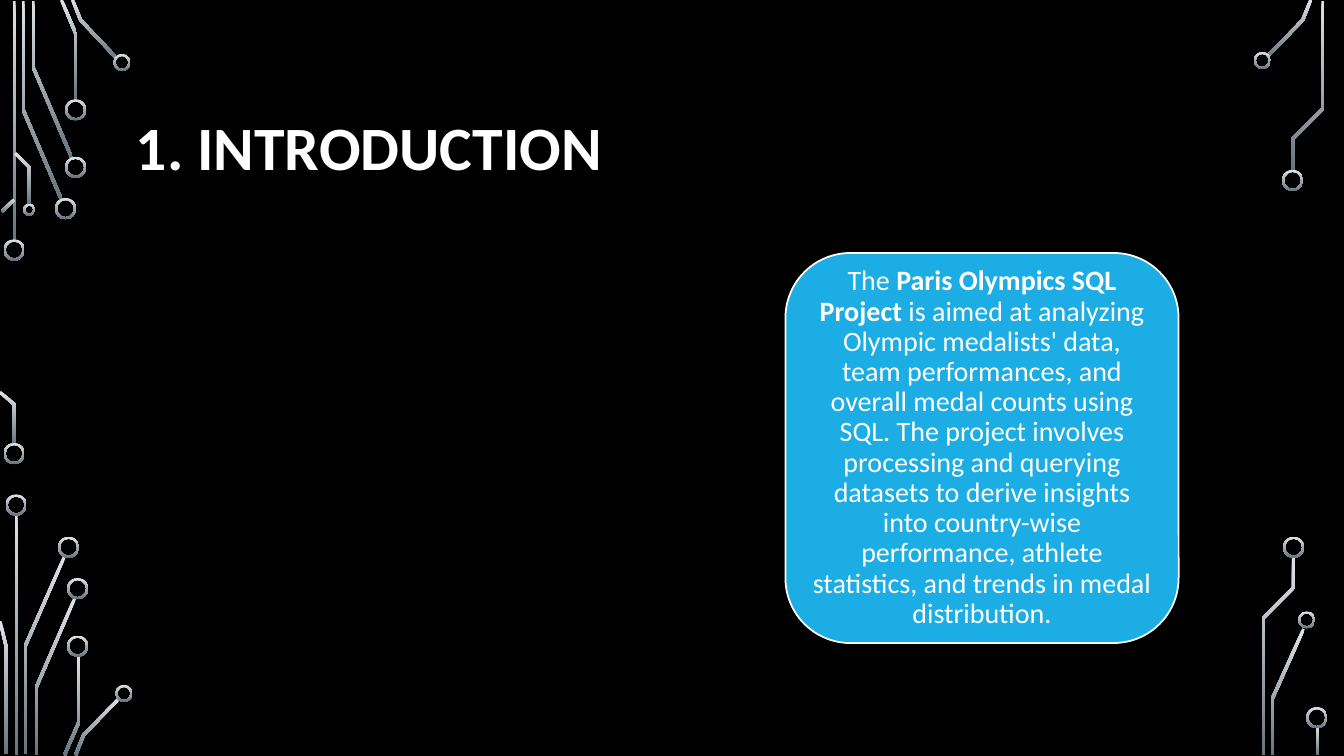
import math
from dataclasses import dataclass

import pptx
import pptx.util
import pptx.dml.color
import pptx.enum.shapes
import pptx.enum.text
from pptx.util import Inches


@dataclass(frozen=True)
class Theme:
    font: str = "Calibri"
    background: str = "000000"
    text: str = "FFFFFF"
    card: str = "1CADE4"
    trace_top: str = "DFE3E5"
    trace_bottom: str = "65757D"
    title_size: int = 44
    body_size: int = 20
    trace_width: float = 0.03
    ring_width: float = 0.02


THEME = Theme()

# Centre lines of the circuit traces, in inches
TRACES = [
    # Top left
    [(0.14, 0.01), (0.14, 2.4)],
    [(0.23, 0.01), (0.23, 1.09), (0.61, 1.98)],
    [(0.33, 0.01), (0.33, 0.67), (0.71, 1.56)],
    [(0.61, 0), (0.75, 0.33), (0.75, 1)],
    [(0.72, 0), (0.8, 0.2), (1.15, 0.57)],
    [(0.02, 2.1), (0.14, 1.98)],
    [(0.15, 1.52), (0.29, 1.66), (0.29, 2.03)],
    # Left middle
    [(0, 3.89), (0.14, 4.01), (0.14, 4.41)],
    # Bottom left
    [(0.16, 5.1), (0.16, 7.49)],
    [(0.64, 5.52), (0.25, 6.41), (0.25, 7.48)],
    [(0, 6.16), (0.06, 6.41), (0.06, 7.48)],
    [(0.74, 5.94), (0.36, 6.82), (0.36, 7.49)],
    [(0.78, 6.5), (0.78, 7.17), (0.64, 7.49)],
    [(1.18, 6.93), (0.83, 7.29), (0.75, 7.49)],
    # Top right
    [(13, 0), (12.92, 0.2), (12.57, 0.56)],
    [(13.12, 0.01), (13.12, 1.08), (12.82, 1.38), (12.82, 1.69)],
    # Bottom right
    [(12.93, 6.24), (12.62, 6.93), (12.62, 7.49)],
    [(12.83, 5.52), (12.83, 5.83), (12.53, 6.13), (12.53, 7.49)],
    [(13.07, 7.21), (13.07, 7.49)],
]

# Ring centres, grouped by diameter
RINGS = {
    0.21: [
        (0.14, 2.48), (0.14, 4.5), (0.65, 2.07), (0.75, 1.66), (0.75, 1.09),
        (0.16, 5.01), (0.68, 5.43), (0.77, 5.84), (0.77, 6.41),
        (12.82, 1.79), (12.83, 5.43), (13.06, 7.12),
    ],
    0.17: [(1.21, 0.62), (1.23, 6.88), (12.52, 0.6), (12.96, 6.15)],
    0.12: [(0.29, 2.08)],
}

INTRODUCTION = [
    ("The ", False),
    ("Paris Olympics SQL Project", True),
    (" is aimed at analyzing Olympic medalists' data, team performances, and "
     "overall medal counts using SQL. The project involves processing and "
     "querying datasets to derive insights into country-wise performance, "
     "athlete statistics, and trends in medal distribution.", False),
]


def color(code):
    return pptx.dml.color.RGBColor.from_string(code)


def fill_metal(shape):
    """Give a circuit part its light-to-dark vertical gradient."""
    shape.shadow.inherit = False
    shape.line.fill.background()
    shape.fill.gradient()
    shape.fill.gradient_angle = 270
    stops = shape.fill.gradient_stops
    for stop, code in zip(stops, (THEME.trace_top, THEME.trace_bottom)):
        stop.color.rgb = color(code)


def ribbon(points, width):
    """Outline of a band with mitred corners along a centre line."""
    normals = []
    for (x1, y1), (x2, y2) in zip(points, points[1:]):
        length = math.hypot(x2 - x1, y2 - y1)
        normals.append(((y1 - y2) / length, (x2 - x1) / length))
    before, after = normals[:1] + normals, normals + normals[-1:]
    left, right = [], []
    for (x, y), (ax, ay), (bx, by) in zip(points, before, after):
        scale = width / 2 / (1 + ax * bx + ay * by)
        dx, dy = (ax + bx) * scale, (ay + by) * scale
        left.append((x + dx, y + dy))
        right.append((x - dx, y - dy))
    return left + right[::-1]


def add_trace(page, points):
    outline = [(Inches(x), Inches(y)) for x, y in ribbon(points, THEME.trace_width)]
    builder = page.shapes.build_freeform(*outline[0])
    builder.add_line_segments(outline[1:], close=True)
    fill_metal(builder.convert_to_shape())


def add_ring(page, center, diameter):
    x, y = center
    ring = page.shapes.add_shape(
        pptx.enum.shapes.MSO_SHAPE.DONUT,
        Inches(x - diameter / 2), Inches(y - diameter / 2),
        Inches(diameter), Inches(diameter))
    ring.adjustments[0] = THEME.ring_width / diameter
    fill_metal(ring)


def style_text(para, size):
    para.line_spacing = 0.9
    for span in para.runs:
        span.font.name = THEME.font
        span.font.size = pptx.util.Pt(size)
        span.font.color.rgb = color(THEME.text)


def add_title(page, text):
    box = page.shapes.add_textbox(Inches(1.25), Inches(0.68), Inches(10.83), Inches(1.62))
    frame = box.text_frame
    frame.word_wrap = True
    frame.vertical_anchor = pptx.enum.text.MSO_ANCHOR.MIDDLE
    para = frame.paragraphs[0]
    para.text = text
    style_text(para, THEME.title_size)
    para.runs[0].font.bold = True


def add_card(page, spans):
    card = page.shapes.add_shape(
        pptx.enum.shapes.MSO_SHAPE.ROUNDED_RECTANGLE,
        Inches(7.79), Inches(2.51), Inches(3.9), Inches(3.87))
    card.shadow.inherit = False
    card.fill.solid()
    card.fill.fore_color.rgb = color(THEME.card)
    card.line.color.rgb = color(THEME.text)
    card.line.width = pptx.util.Pt(1.25)

    frame = card.text_frame
    frame.word_wrap = True
    frame.vertical_anchor = pptx.enum.text.MSO_ANCHOR.MIDDLE
    frame.margin_left = frame.margin_right = Inches(0.08)
    frame.margin_top = frame.margin_bottom = Inches(0.04)
    para = frame.paragraphs[0]
    para.alignment = pptx.enum.text.PP_ALIGN.CENTER
    for text, bold in spans:
        span = para.add_run()
        span.text = text
        span.font.bold = bold
    style_text(para, THEME.body_size)


def main():
    deck = pptx.Presentation()
    deck.slide_width, deck.slide_height = Inches(13.33), Inches(7.5)
    page = deck.slides.add_slide(deck.slide_layouts[6])
    page.background.fill.solid()
    page.background.fill.fore_color.rgb = color(THEME.background)

    # Circuit decoration
    for points in TRACES:
        add_trace(page, points)
    for diameter, centers in RINGS.items():
        for center in centers:
            add_ring(page, center, diameter)

    # Content
    add_title(page, "1. INTRODUCTION")
    add_card(page, INTRODUCTION)

    deck.save("out.pptx")


if __name__ == "__main__":
    main()
